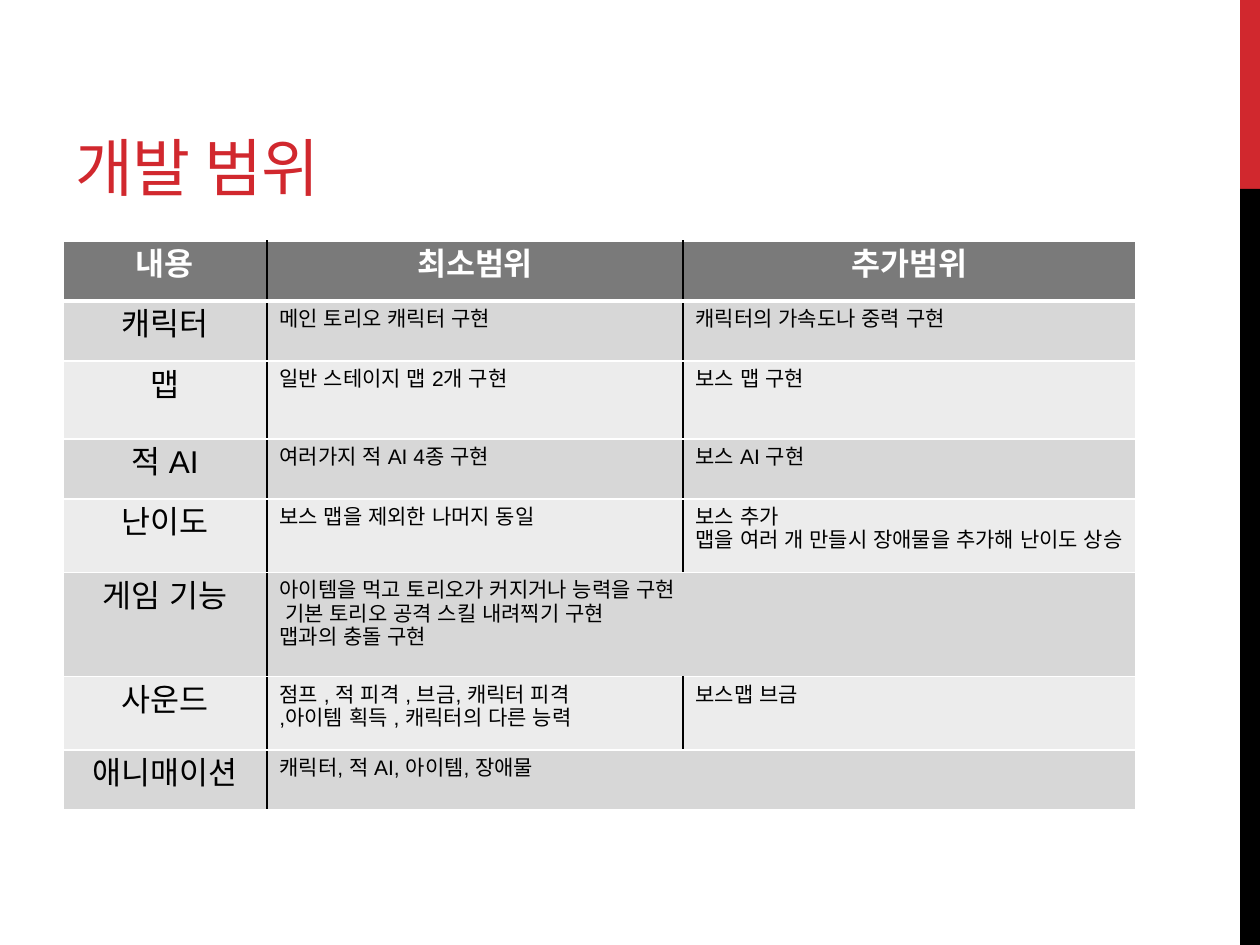
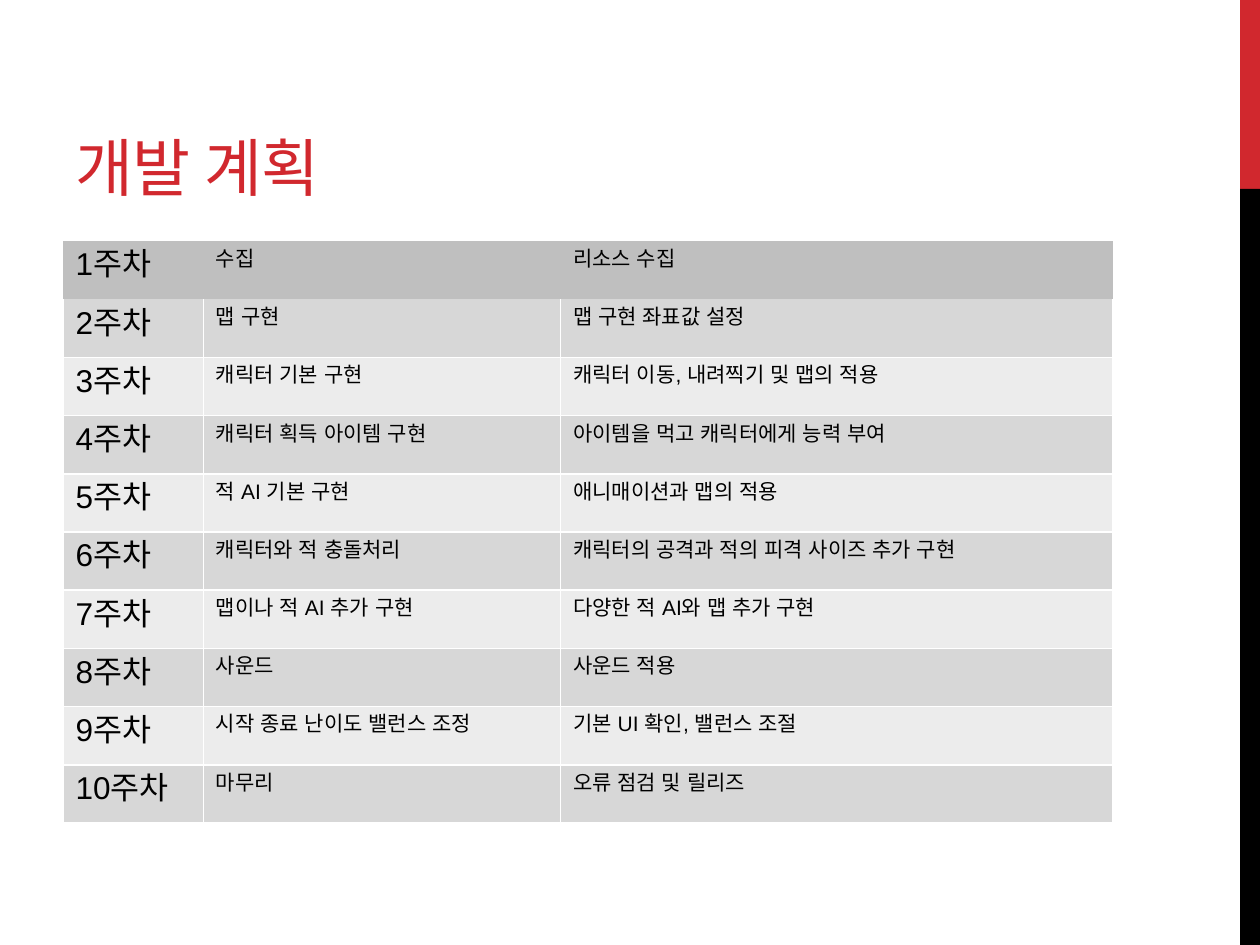
from dataclasses import dataclass
from typing import Optional

from lxml.etree import SubElement
from pptx import Presentation
from pptx.dml.color import RGBColor
from pptx.enum.shapes import MSO_SHAPE
from pptx.enum.text import MSO_ANCHOR, PP_ALIGN
from pptx.oxml.ns import qn
from pptx.slide import Slide
from pptx.table import _Cell
from pptx.text.text import TextFrame
from pptx.util import Cm, Pt

COLORS = {
    "accent": "D1282E",
    "black": "000000",
    "white": "FFFFFF",
    "header": "7A7A7A",
    "first_week": "BFBFBF",
    "odd": "D7D7D7",
    "even": "ECECEC",
}
TITLE_FONT = {"name": "Montserrat", "size": Pt(36)}
HEADER_FONT = {"name": "Arial", "size": Pt(18), "bold": True}
LABEL_FONT = {"name": "Arial", "size": Pt(18), "bold": False}
DETAIL_FONT = {"name": "Arial", "size": Pt(12), "bold": False}
TITLE_FRAME = {"word_wrap": True, "vertical_anchor": MSO_ANCHOR.BOTTOM}
SIDES = ("L", "R", "T", "B")


@dataclass(frozen=True)
class Band:
    top: float
    height: float
    color: str


@dataclass(frozen=True)
class Border:
    color: str
    width: float = 1


@dataclass(frozen=True)
class Grid:
    columns: tuple[float, ...]
    row_heights: tuple[float, ...]
    rows: tuple[tuple[str, ...], ...]


Borders = dict[str, Optional[Border]]

BANDS = (Band(0, 3.81, "accent"), Band(3.81, 15.24, "black"))
WHITE_LINE = Border("white")
BLACK_LINE = Border("black")
HEADER_LINE = Border("white", 3)

SCOPE = Grid(
    (4.11, 8.39, 9.13),
    (1.21, 1.21, 1.57, 1.21, 1.48, 2.1, 1.48, 1.21),
    (
        ("내용", "최소범위", "추가범위"),
        ("캐릭터", "메인 토리오 캐릭터 구현", "캐릭터의 가속도나 중력 구현"),
        ("맵", "일반 스테이지 맵 2개 구현", "보스 맵 구현"),
        ("적 AI", "여러가지 적 AI 4종 구현", "보스 AI 구현"),
        ("난이도", "보스 맵을 제외한 나머지 동일",
         "보스 추가\n맵을 여러 개 만들시 장애물을 추가해 난이도 상승"),
        ("게임 기능", "아이템을 먹고 토리오가 커지거나 능력을 구현\n"
         " 기본 토리오 공격 스킬 내려찍기 구현\n맵과의 충돌 구현"),
        ("사운드", "점프 , 적 피격 , 브금, 캐릭터 피격\n,아이템 획득 , 캐릭터의 다른 능력", "보스맵 브금"),
        ("애니매이션", "캐릭터, 적 AI, 아이템, 장애물"),
    ),
)

WEEKLY_TASKS = (
    ("수집", "리소스 수집"),
    ("맵 구현", "맵 구현 좌표값 설정"),
    ("캐릭터 기본 구현", "캐릭터 이동, 내려찍기 및 맵의 적용"),
    ("캐릭터 획득 아이템 구현", "아이템을 먹고 캐릭터에게 능력 부여"),
    ("적 AI 기본 구현", "애니매이션과 맵의 적용"),
    ("캐릭터와 적 충돌처리", "캐릭터의 공격과 적의 피격 사이즈 추가 구현"),
    ("맵이나 적 AI 추가 구현", "다양한 적 AI와 맵 추가 구현"),
    ("사운드", "사운드 적용"),
    ("시작 종료 난이도 밸런스 조정", "기본 UI 확인, 밸런스 조절"),
    ("마무리", "오류 점검 및 릴리즈"),
)
PLAN_HEIGHT = 11.73
PLAN = Grid(
    (2.83, 7.2, 11.13),
    (PLAN_HEIGHT / len(WEEKLY_TASKS),) * len(WEEKLY_TASKS),
    tuple((f"{week}주차", *tasks) for week, tasks in enumerate(WEEKLY_TASKS, 1)),
)


def rgb(color: str) -> RGBColor:
    return RGBColor.from_string(COLORS[color])


def apply_format(target: object, values: dict) -> None:
    for attribute, value in values.items():
        setattr(target, attribute, value)


def write_text(frame: TextFrame, text: str, font: dict, color: str,
               align: PP_ALIGN = PP_ALIGN.LEFT) -> None:
    frame.text = text
    for paragraph in frame.paragraphs:
        paragraph.alignment = align
        for run in paragraph.runs:
            apply_format(run.font, font)
            run.font.color.rgb = rgb(color)
            SubElement(run.font._element, qn("a:ea")).set("typeface", font["name"])


def draw_band(slide: Slide, band: Band) -> None:
    stripe = slide.shapes.add_shape(
        MSO_SHAPE.RECTANGLE, Cm(25), Cm(band.top), Cm(0.4), Cm(band.height))
    stripe.shadow.inherit = False
    stripe.fill.solid()
    stripe.fill.fore_color.rgb = rgb(band.color)
    stripe.line.fill.background()


def draw_title(slide: Slide, title: str) -> None:
    frame = slide.shapes.add_textbox(Cm(1.27), Cm(0.43), Cm(16.08), Cm(3.81)).text_frame
    apply_format(frame, TITLE_FRAME)
    write_text(frame, title, TITLE_FONT, "accent")
    for run in frame.paragraphs[0].runs:
        run.font._element.set("spc", "-60")


def draw_borders(cell: _Cell, borders: Borders) -> None:
    properties = cell._tc.get_or_add_tcPr()
    for side in SIDES:
        border = borders[side]
        line = SubElement(properties, qn(f"a:ln{side}"))
        if border is None:
            SubElement(line, qn("a:noFill"))
        else:
            line.set("w", str(Pt(border.width)))
            fill = SubElement(line, qn("a:solidFill"))
            SubElement(fill, qn("a:srgbClr")).set("val", COLORS[border.color])


def scope_borders(row: int, column: int, merged: bool) -> Borders:
    return {
        "L": WHITE_LINE if column == 0 or (merged and column == 2) else BLACK_LINE,
        "R": WHITE_LINE if column == 2 or (merged and column == 1) else BLACK_LINE,
        "T": HEADER_LINE if row == 1 else WHITE_LINE,
        "B": HEADER_LINE if row == 0 else WHITE_LINE,
    }


def plan_borders(row: int) -> Borders:
    borders: Borders = dict.fromkeys(SIDES, WHITE_LINE if row else None)
    if row == 1:
        borders["T"] = None
    return borders


def draw_grid(slide: Slide, grid: Grid, is_scope: bool) -> None:
    table = slide.shapes.add_table(
        len(grid.rows), len(grid.columns), Cm(1.27), Cm(4.86),
        Cm(sum(grid.columns)), Cm(sum(grid.row_heights))).table
    apply_format(table, {"first_row": False, "horz_banding": False})
    for column, width in zip(table.columns, grid.columns):
        column.width = Cm(width)
    for row, height in zip(table.rows, grid.row_heights):
        row.height = Cm(height)

    top_fill = "header" if is_scope else "first_week"
    for row, texts in enumerate(grid.rows):
        merged = len(texts) < len(grid.columns)
        is_header = is_scope and row == 0
        row_fill = ("odd" if row % 2 else "even") if row else top_fill
        for column in range(len(grid.columns)):
            cell = table.cell(row, column)
            draw_borders(cell, scope_borders(row, column, merged)
                         if is_scope else plan_borders(row))
            cell.fill.solid()
            cell.fill.fore_color.rgb = rgb(row_fill)
            if column < len(texts):
                font = HEADER_FONT if is_header else DETAIL_FONT if column else LABEL_FONT
                centered = is_header or (is_scope and column == 0)
                write_text(cell.text_frame, texts[column], font,
                           "white" if is_header else "black",
                           PP_ALIGN.CENTER if centered else PP_ALIGN.LEFT)
        if merged:
            table.cell(row, 1).merge(table.cell(row, 2))


def main() -> None:
    deck = Presentation()
    apply_format(deck, {"slide_width": Cm(25.4), "slide_height": Cm(19.05)})
    for title, grid in (("개발 범위", SCOPE), ("개발 계획", PLAN)):
        slide = deck.slides.add_slide(deck.slide_layouts[6])
        for band in BANDS:
            draw_band(slide, band)
        draw_title(slide, title)
        draw_grid(slide, grid, grid is SCOPE)
    deck.save("out.pptx")


if __name__ == "__main__":
    main()
